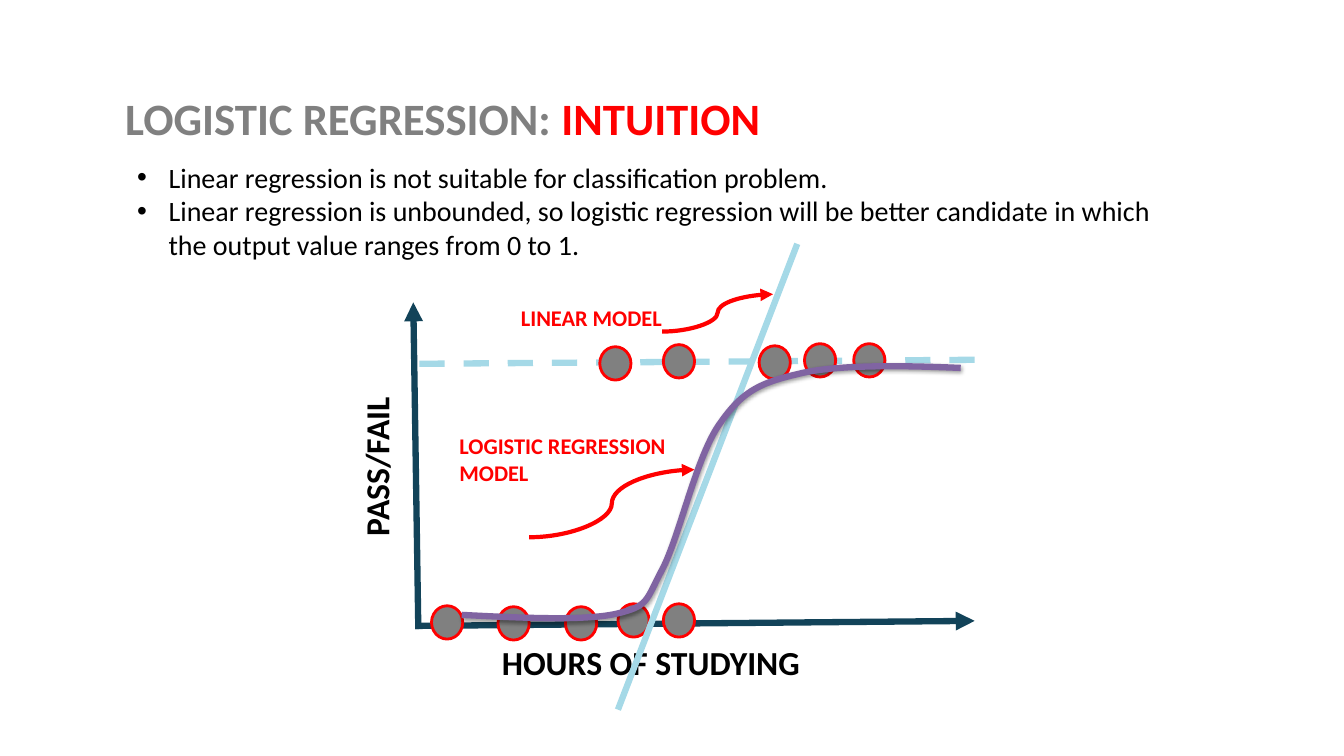
from lxml import etree
from pptx import Presentation
from pptx.dml.color import RGBColor
from pptx.enum import dml, shapes, text
from pptx.oxml import ns
from pptx.util import Pt

GREY = RGBColor(0x80, 0x80, 0x80)
RED = RGBColor(0xFF, 0x00, 0x00)
BLACK = RGBColor(0x00, 0x00, 0x00)
NAVY = RGBColor(0x12, 0x43, 0x59)
SKY = RGBColor(0xA5, 0xD9, 0xE7)
PURPLE = RGBColor(0x80, 0x64, 0xA2)


def write(paragraph, words, size=16, color=RED, bold=True):
    paragraph.alignment = text.PP_ALIGN.LEFT
    run = paragraph.add_run()
    run.text = words
    run.font.name = "Calibri"
    run.font.size = Pt(size)
    run.font.bold = bold
    run.font.color.rgb = color


def draw_line(ends, color, width=4.5, kind=shapes.MSO_CONNECTOR.STRAIGHT, arrow=True):
    connector = slide.shapes.add_connector(kind, *map(Pt, ends))
    connector.line.color.rgb = color
    connector.line.width = Pt(width)
    properties = connector._element.spPr
    if arrow:
        etree.SubElement(properties.find(ns.qn("a:ln")), ns.qn("a:tailEnd"), type="triangle")
    etree.SubElement(properties, ns.qn("a:effectLst"))
    return connector


deck = Presentation()
deck.slide_width, deck.slide_height = Pt(960), Pt(540)
slide = deck.slides.add_slide(deck.slide_layouts[1])

# Heading and bullets
heading, bullets = slide.placeholders
heading.left, heading.top, heading.width, heading.height = map(Pt, (84.2, 47.5, 600.5, 78.5))
frame = heading.text_frame
frame.margin_left = frame.margin_right = Pt(5.2)
frame.margin_top = frame.margin_bottom = Pt(2.6)
frame.vertical_anchor = text.MSO_ANCHOR.MIDDLE
frame.auto_size = text.MSO_AUTO_SIZE.NONE
frame.paragraphs[0].line_spacing = 0.9
write(frame.paragraphs[0], "LOGISTIC REGRESSION: ", size=32, color=GREY)
write(frame.paragraphs[0], "INTUITION", size=32)

bullets.left, bullets.top, bullets.width, bullets.height = map(Pt, (90.7, 110.9, 749.5, 79.9))
frame = bullets.text_frame
frame.auto_size = text.MSO_AUTO_SIZE.NONE
points = (
    "Linear regression is not suitable for classification problem.",
    "Linear regression is unbounded, so logistic regression will be better candidate "
    "in which the output value ranges from 0 to 1.",
)
for index, point in enumerate(points):
    paragraph = frame.add_paragraph() if index else frame.paragraphs[0]
    write(paragraph, point, size=20, color=BLACK, bold=False)
    paragraph.space_before = Pt(0)
    layout = paragraph._p.get_or_add_pPr()
    layout.set("marL", str(Pt(22.5)))
    layout.set("indent", str(-Pt(22.5)))
    etree.SubElement(layout, ns.qn("a:buFont"), typeface="Arial")
    etree.SubElement(layout, ns.qn("a:buChar"), char="•")

# Pass level and axes
pass_level = draw_line((696.2, 257, 295.2, 259.9), SKY, arrow=False)
pass_level.line.dash_style = dml.MSO_LINE.DASH
draw_line((296.6, 447.1, 696.2, 443.5), NAVY)
draw_line((298.8, 449.3, 295.2, 216), NAVY)

# Students who failed, then students who passed
students = (
    (308.2, 432.7), (355.7, 433.4), (403.9, 433.4), (441.4, 431.3), (473.8, 431.3),
    (428.4, 247.7), (473.8, 246.2), (542.2, 247), (574.6, 245.5), (609.8, 245.5),
)
for left, top in students:
    student = slide.shapes.add_shape(
        shapes.MSO_SHAPE.OVAL, Pt(left), Pt(top), Pt(22.3), Pt(23.8))
    student.shadow.inherit = False
    student.fill.solid()
    student.fill.fore_color.rgb = GREY
    student.line.color.rgb = RED
    student.line.width = Pt(2)

# Axis titles and model labels: words, box, size, colour, rotation, wrap
labels = (
    ("HOURS OF STUDYING", (351.4, 455, 234.7, 36), 24, BLACK, 0, False),
    ("PASS/FAIL", (211, 314.6, 115.2, 36), 24, BLACK, 270, False),
    ("LINEAR MODEL", (365, 213.8, 170.6, 26.6), 16, RED, 0, True),
    ("LOGISTIC REGRESSION MODEL", (321.1, 305.3, 170.6, 46.1), 16, RED, 0, True),
)
for words, box, size, color, rotation, wrap in labels:
    label = slide.shapes.add_textbox(*map(Pt, box))
    label.rotation = rotation
    label.text_frame.word_wrap = wrap
    label.text_frame.auto_size = text.MSO_AUTO_SIZE.SHAPE_TO_FIT_TEXT
    write(label.text_frame.paragraphs[0], words, size=size, color=color)

# Linear model
draw_line((569.5, 174.2, 441.4, 506.9), SKY, arrow=False)

# Logistic model: a start, then two control points and an end for each curve
sigmoid_points = (
    (329.8, 439.2),
    (373, 441.4), (416.2, 443.5), (439.9, 438.5),
    (463.7, 432.7), (460.8, 429.8), (473, 406.8),
    (485.3, 383.8), (497.5, 324.7), (514.8, 301.7),
    (531.4, 277.9), (545, 272.9), (573.1, 266.4),
    (601.9, 259.9), (652.3, 261.4), (686.2, 262.8),
)
start, *rest = [(Pt(x), Pt(y)) for x, y in sigmoid_points]
builder = slide.shapes.build_freeform(*start)
builder.add_line_segments(rest, close=False)
sigmoid = builder.convert_to_shape()
sigmoid.fill.background()
sigmoid.line.color.rgb = PURPLE
sigmoid.line.width = Pt(4.5)
outline = sigmoid._element.xpath(".//a:path")[0]
segments = outline.findall(ns.qn("a:lnTo"))
for first in range(0, len(segments), 3):
    curve = etree.SubElement(outline, ns.qn("a:cubicBezTo"))
    for segment in segments[first:first + 3]:
        curve.append(segment[0])
        outline.remove(segment)
sigmoid.shadow.inherit = False
effects = sigmoid._element.spPr.find(ns.qn("a:effectLst"))
shadow = etree.SubElement(
    effects, ns.qn("a:outerShdw"), blurRad=str(Pt(3.1)), dist=str(Pt(1.6)),
    dir="5400000", rotWithShape="0")
shade = etree.SubElement(shadow, ns.qn("a:srgbClr"), val=str(BLACK))
etree.SubElement(shade, ns.qn("a:alpha"), val="38000")

# Pointers from the labels to the two models
for pointer in ((473, 236.9, 552.2, 210.2), (378, 383.8, 496.1, 335.5)):
    draw_line(pointer, RED, width=3, kind=shapes.MSO_CONNECTOR.CURVE)

deck.save("out.pptx")
